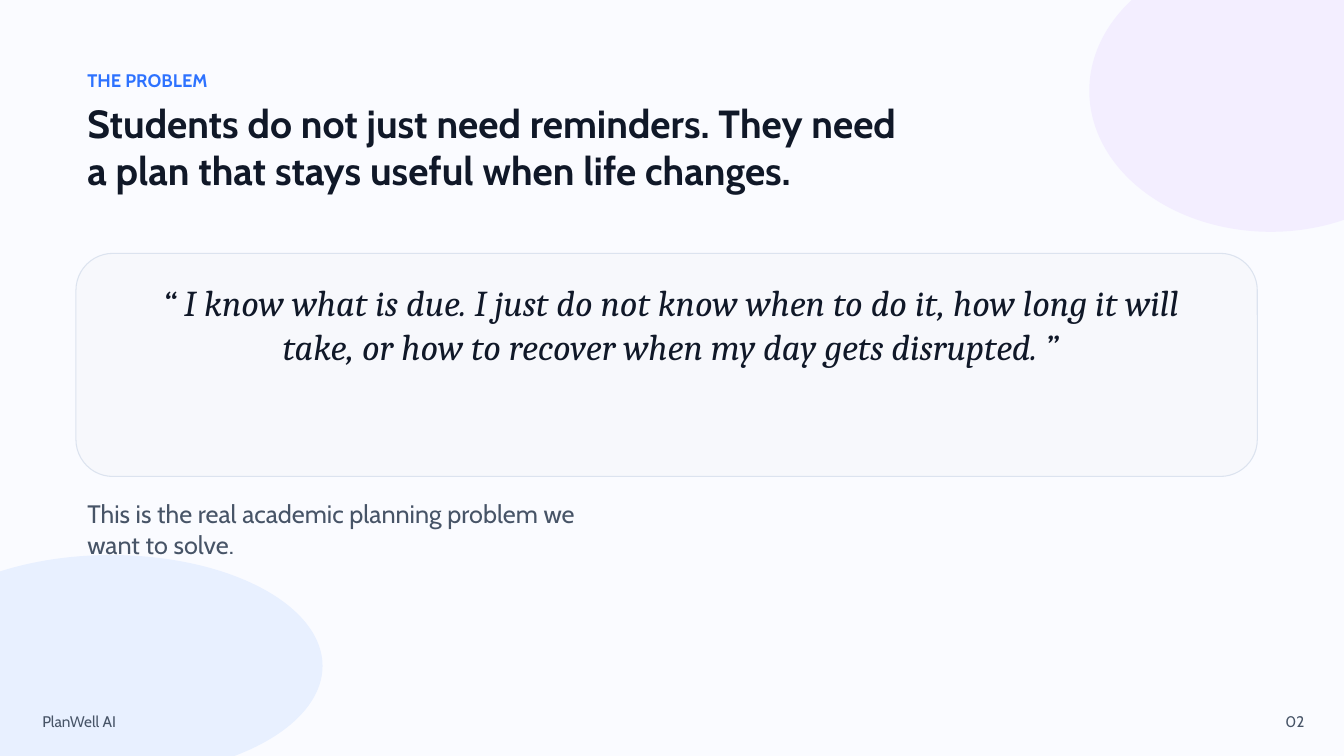
from dataclasses import dataclass

from pptx import Presentation
from pptx import util as u
from pptx.dml.color import RGBColor
from pptx.enum import shapes, text


@dataclass(frozen=True)
class Theme:
    background: str = "FAFBFF"
    lilac: str = "F3EEFF"
    pale_blue: str = "E8F0FF"
    card: str = "F7F8FC"
    card_line: str = "DCE3EF"
    ink: str = "101828"
    muted: str = "475467"
    accent: str = "2D72FF"
    sans: str = "Cabin"
    serif: str = "Cambria"
    footer_size: float = 16.5
    label_size: float = 19.5
    body_size: float = 27
    quote_size: float = 39
    title_size: float = 42
    line_spacing: float = 1.2


class SlideBuilder:
    def __init__(self, slide, theme):
        self.slide = slide
        self.theme = theme

    def background(self):
        fill = self.slide.background.fill
        fill.solid()
        fill.fore_color.rgb = RGBColor.from_string(self.theme.background)

    def filled_shape(self, kind, box, color):
        shape = self.slide.shapes.add_shape(kind, *map(u.Inches, box))
        shape.shadow.inherit = False
        shape.fill.solid()
        shape.fill.fore_color.rgb = RGBColor.from_string(color)
        shape.line.fill.background()
        return shape

    def ellipse(self, box, color):
        self.filled_shape(shapes.MSO_SHAPE.OVAL, box, color)

    def card(self, box, radius):
        shape = self.filled_shape(
            shapes.MSO_SHAPE.ROUNDED_RECTANGLE, box, self.theme.card)
        shape.adjustments[0] = radius / min(box[2:])
        shape.line.color.rgb = RGBColor.from_string(self.theme.card_line)
        shape.line.width = u.Pt(1.13)

    def text(self, box, words, size, color, font=None, bold=False,
             italic=False, align=text.PP_ALIGN.LEFT):
        """Add a margin-free text box with one paragraph."""
        text_box = self.slide.shapes.add_textbox(*map(u.Inches, box))
        frame = text_box.text_frame
        frame.word_wrap = True
        frame.margin_left = frame.margin_right = 0
        frame.margin_top = frame.margin_bottom = 0
        frame.text = words
        paragraph = frame.paragraphs[0]
        paragraph.alignment = align
        paragraph.line_spacing = u.Pt(size * self.theme.line_spacing)
        run_font = paragraph.runs[0].font
        run_font.name = font or self.theme.sans
        run_font.size = u.Pt(size)
        run_font.bold = bold
        run_font.italic = italic
        run_font.color.rgb = RGBColor.from_string(color)


def main():
    presentation = Presentation()
    presentation.slide_width = u.Inches(20)
    presentation.slide_height = u.Inches(11.25)
    slide = presentation.slides.add_slide(presentation.slide_layouts[6])
    theme = Theme()
    builder = SlideBuilder(slide, theme)
    left = 1.3
    footer_top = 10.59

    builder.background()
    builder.ellipse((16.21, -0.75, 5.4, 4.2), theme.lilac)
    builder.ellipse((-1.5, 8.26, 6.3, 3.3), theme.pale_blue)

    builder.text((0.63, footer_top, 3.55, 0.28), "PlanWell AI",
                 theme.footer_size, theme.muted)
    builder.text((18.41, footer_top, 1, 0.28), "02",
                 theme.footer_size, theme.muted, align=text.PP_ALIGN.RIGHT)

    builder.text((left, 1.03, 6.56, 0.35), "THE PROBLEM",
                 theme.label_size, theme.accent, bold=True)
    builder.text((left, 1.48, 12.11, 1.25),
                 "Students do not just need reminders. They need a plan "
                 "that stays useful when life changes.",
                 theme.title_size, theme.ink, bold=True)

    builder.card((1.13, 3.77, 17.58, 3.32), radius=0.55)
    builder.text((2.05, 4.17, 15.86, 1.26),
                 "“ I know what is due. I just do not know when to do it, "
                 "how long it will take, or how to recover when my day gets "
                 "disrupted. ”",
                 theme.quote_size, theme.ink, font=theme.serif, italic=True,
                 align=text.PP_ALIGN.CENTER)
    builder.text((left, 7.42, 8.06, 0.5),
                 "This is the real academic planning problem we want to solve.",
                 theme.body_size, theme.muted)

    presentation.save("out.pptx")


if __name__ == "__main__":
    main()
